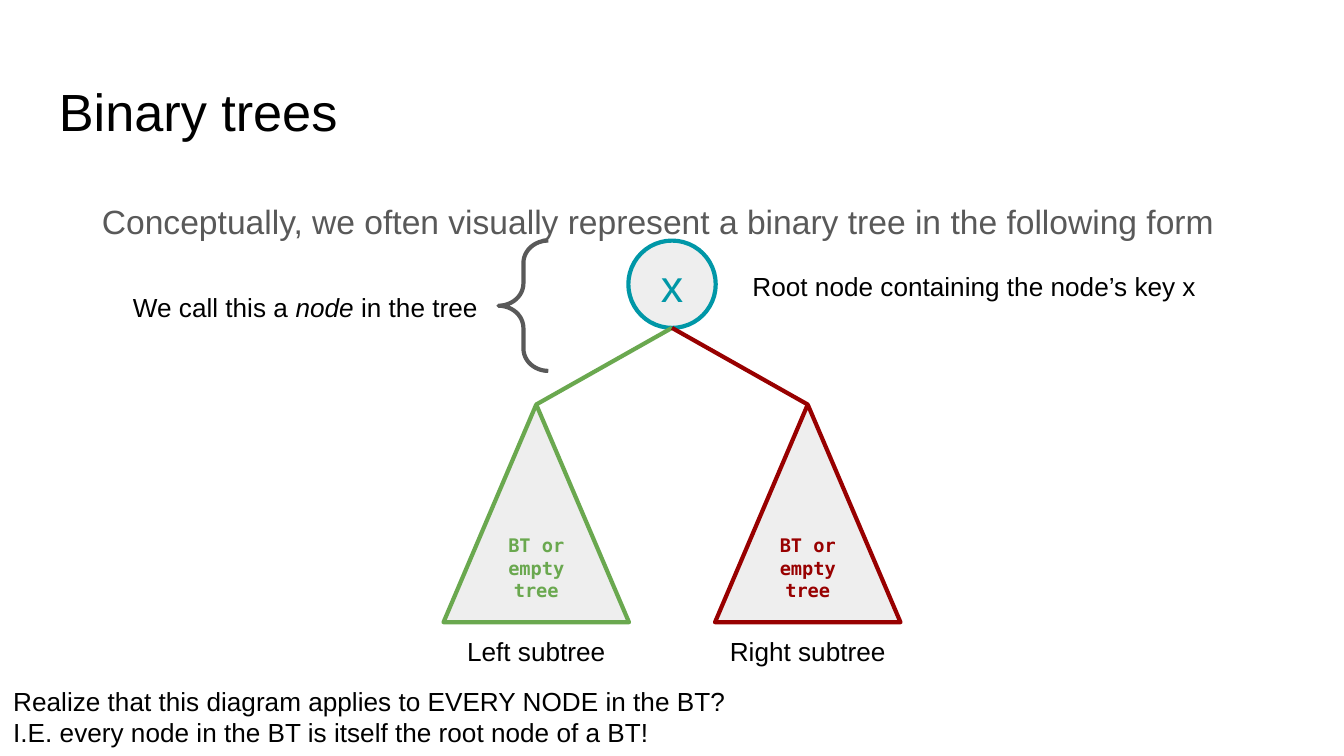
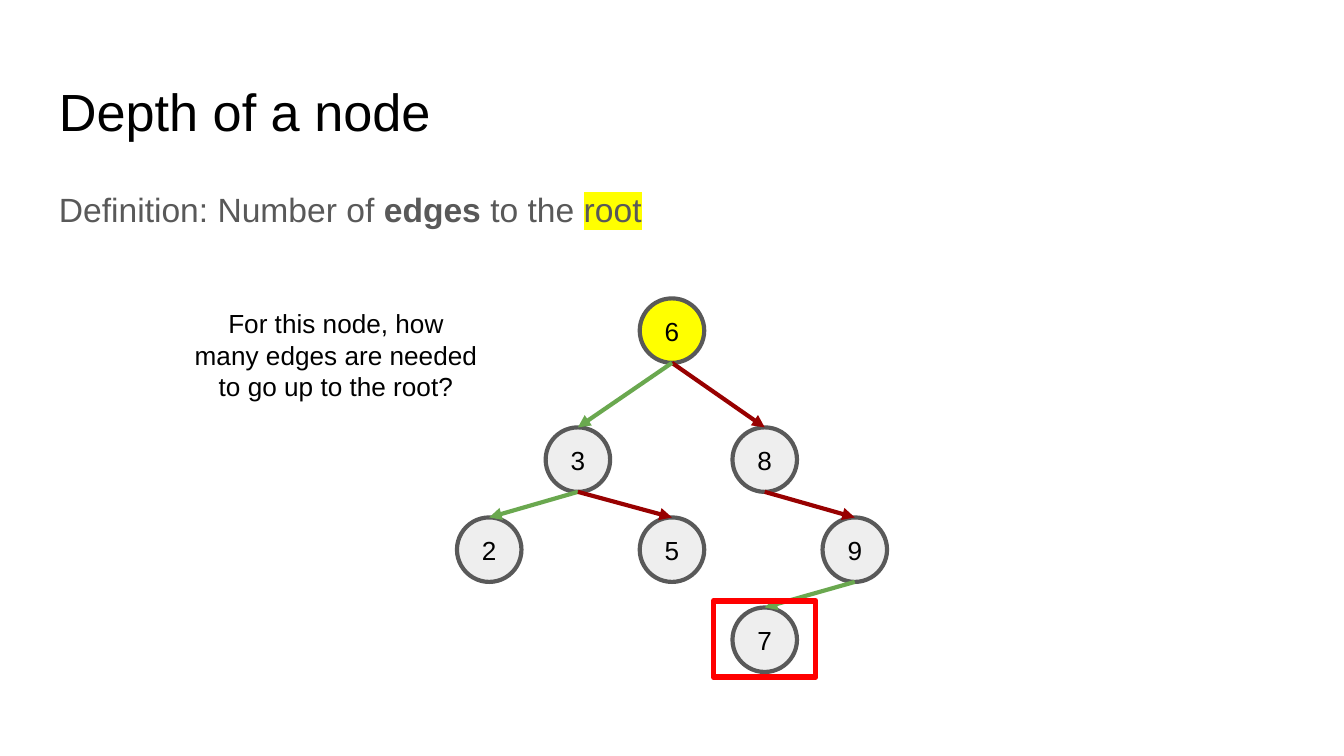
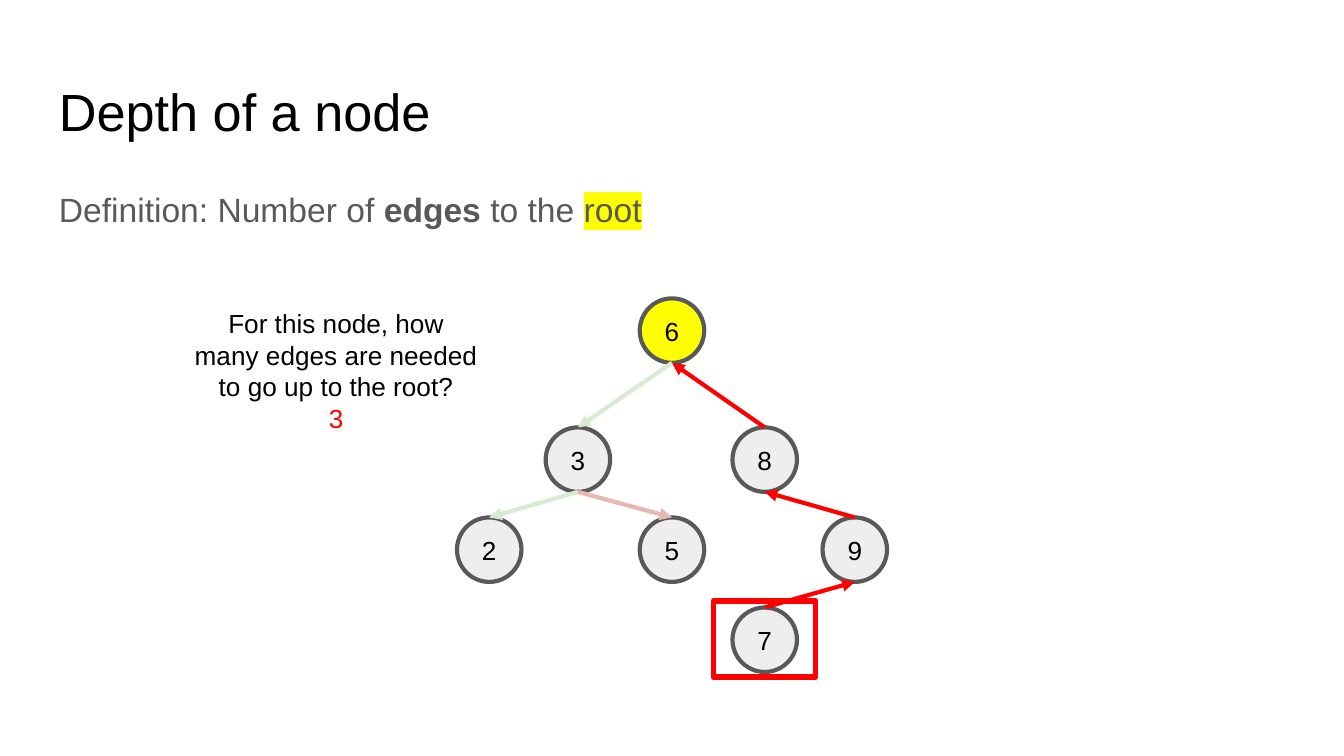
from dataclasses import dataclass
from typing import Optional

from lxml.etree import SubElement
from pptx import Presentation
from pptx.dml.color import RGBColor
from pptx.enum.shapes import MSO_CONNECTOR, MSO_SHAPE as Shape
from pptx.enum.text import MSO_ANCHOR as Anchor, PP_ALIGN as Align
from pptx.oxml import parse_xml
from pptx.oxml.ns import nsdecls, qn
from pptx.util import Inches, Pt

BLACK = RGBColor(0x00, 0x00, 0x00)
GRAY = RGBColor(0x59, 0x59, 0x59)
PALE_GRAY = RGBColor(0xEE, 0xEE, 0xEE)
TEAL = RGBColor(0x00, 0x97, 0xA7)
GREEN = RGBColor(0x6A, 0xA8, 0x4F)
MAROON = RGBColor(0x98, 0x00, 0x00)
PALE_GREEN = RGBColor(0xD9, 0xEA, 0xD3)
PALE_MAROON = RGBColor(0xE6, 0xB8, 0xAF)
RED = RGBColor(0xFF, 0x00, 0x00)
YELLOW = RGBColor(0xFF, 0xFF, 0x00)

SANS = "Arial"
MONO = "DejaVu Sans Mono"
STROKE = 2.25
INSET = 0.1
CENTER_X = 5
NODE_SIZE = 0.48


@dataclass(frozen=True)
class Box:
    left: float
    top: float
    width: float
    height: float

    def lengths(self) -> list:
        return [Inches(n) for n in (self.left, self.top, self.width, self.height)]


@dataclass(frozen=True)
class Span:
    text: str
    size: float = 14
    color: RGBColor = BLACK
    font: str = SANS
    bold: bool = False
    italic: bool = False
    highlight: Optional[RGBColor] = None


@dataclass(frozen=True)
class Node:
    x: float
    top: float
    fill: RGBColor = PALE_GRAY

    @property
    def bottom(self) -> float:
        return self.top + NODE_SIZE


@dataclass(frozen=True)
class Edge:
    parent: str
    child: str
    color: RGBColor
    upward: bool = False


@dataclass(frozen=True)
class Subtree:
    x: float
    color: RGBColor
    caption: str


TITLE_BOX = Box(0.34, 0.49, 9.32, 0.63)
BODY_BOX = Box(0.34, 1.26, 9.32, 0.51)
SUBTREES = [
    Subtree(3.99, GREEN, "Left subtree"),
    Subtree(6.01, MAROON, "Right subtree"),
]
LEVEL_TOPS = [2.22] + [3.18 + 0.67 * level for level in range(3)]
NODES = {
    "2": Node(3.64, LEVEL_TOPS[2]),
    "5": Node(CENTER_X, LEVEL_TOPS[2]),
    "3": Node(4.3, LEVEL_TOPS[1]),
    "8": Node(5.69, LEVEL_TOPS[1]),
    "9": Node(6.36, LEVEL_TOPS[2]),
    "6": Node(CENTER_X, LEVEL_TOPS[0], YELLOW),
    "7": Node(5.69, LEVEL_TOPS[3]),
}
EDGES = [
    Edge("6", "8", MAROON),
    Edge("3", "2", GREEN),
    Edge("3", "5", MAROON),
    Edge("8", "9", MAROON),
    Edge("6", "3", GREEN),
    Edge("9", "7", GREEN),
]
PATH_EDGES = [
    Edge("6", "8", RED, upward=True),
    Edge("3", "2", PALE_GREEN),
    Edge("3", "5", PALE_MAROON),
    Edge("8", "9", RED, upward=True),
    Edge("6", "3", PALE_GREEN),
    Edge("9", "7", RED, upward=True),
]


def write(frame, paragraphs: list, align=Align.LEFT, anchor=Anchor.TOP,
          inset: float = INSET, body: bool = False) -> None:
    frame.word_wrap = True
    frame.vertical_anchor = anchor
    frame.margin_left = frame.margin_right = Inches(inset)
    frame.margin_top = frame.margin_bottom = Inches(inset)
    for index, spans in enumerate(paragraphs):
        paragraph = frame.add_paragraph() if index else frame.paragraphs[0]
        paragraph.alignment = align
        if body:
            paragraph.line_spacing = 1.15
            paragraph.space_after = Pt(16)
        for span in spans:
            run = paragraph.add_run()
            run.text = span.text
            run.font.name = span.font
            run.font.size = Pt(span.size)
            run.font.bold = span.bold
            run.font.italic = span.italic
            run.font.color.rgb = span.color
            if span.highlight is not None:
                mark = parse_xml(
                    f'<a:highlight {nsdecls("a")}><a:srgbClr val="{span.highlight}"/></a:highlight>')
                run.font._element.find(qn("a:solidFill")).addnext(mark)


def add_text(canvas, box: Box, paragraphs: list, **style) -> None:
    write(canvas.add_textbox(*box.lengths()).text_frame, paragraphs, **style)


def add_outline(canvas, kind, box: Box, color: RGBColor,
                fill: Optional[RGBColor] = None, width: float = STROKE):
    shape = canvas.add_shape(kind, *box.lengths())
    shape.shadow.inherit = False
    if fill is None:
        shape.fill.background()
    else:
        shape.fill.solid()
        shape.fill.fore_color.rgb = fill
    shape.line.color.rgb = color
    shape.line.width = Pt(width)
    SubElement(shape.line._get_or_add_ln(), qn("a:round"))
    return shape


def add_line(canvas, start: tuple, end: tuple, color: RGBColor,
             arrow_end: Optional[str] = None) -> None:
    points = [Inches(n) for n in (*start, *end)]
    line = canvas.add_connector(MSO_CONNECTOR.STRAIGHT, *points)
    line.line.color.rgb = color
    line.line.width = Pt(STROKE)
    outline = line.line._get_or_add_ln()
    SubElement(outline, qn("a:round"))
    if arrow_end:
        SubElement(outline, qn(f"a:{arrow_end}"), type="triangle")
    SubElement(line._element.spPr, qn("a:effectLst"))


def add_titled_slide(deck, title: str):
    slide = deck.slides.add_slide(deck.slide_layouts[6])
    add_text(slide.shapes, TITLE_BOX, [[Span(title, 28)]])
    return slide


def add_subtree(canvas, subtree: Subtree, root_bottom: float) -> None:
    width, top, height = 1.38, 3.01, 1.62
    left = subtree.x - width / 2
    triangle = add_outline(canvas, Shape.ISOSCELES_TRIANGLE,
                           Box(left, top, width, height), subtree.color, PALE_GRAY)
    label = Span("BT or empty tree", 10, subtree.color, MONO, bold=True)
    write(triangle.text_frame, [[label]], align=Align.CENTER, anchor=Anchor.MIDDLE)
    add_line(canvas, (CENTER_X, root_bottom), (subtree.x, top), subtree.color)
    add_text(canvas, Box(left, top + height, width, 0.41),
             [[Span(subtree.caption)]], align=Align.CENTER)


def add_binary_tree_slide(deck) -> None:
    canvas = add_titled_slide(deck, "Binary trees").shapes
    intro = "Conceptually, we often visually represent a binary tree in the following form"
    add_text(canvas, Box(0.66, 1.36, 8.68, 0.52), [[Span(intro, 18, GRAY)]],
             anchor=Anchor.MIDDLE, body=True)
    root_top, root_size = 1.79, 0.65
    root = add_outline(canvas, Shape.OVAL,
                       Box(CENTER_X - root_size / 2, root_top, root_size, root_size),
                       TEAL, PALE_GRAY)
    write(root.text_frame, [[Span("x", 24, TEAL)]], align=Align.CENTER, anchor=Anchor.MIDDLE)
    for subtree in SUBTREES:
        add_subtree(canvas, subtree, root_top + root_size)
    add_text(canvas, Box(5.5, 1.91, 3.68, 0.52),
             [[Span("Root node containing the node’s key x")]])
    add_text(canvas, Box(0, 5, 5.69, 0.63), [
        [Span("Realize that this diagram applies to EVERY NODE in the BT?")],
        [Span("I.E. every node in the BT is itself the root node of a BT!")],
    ])
    brace = add_outline(canvas, Shape.LEFT_BRACE, Box(3.71, root_top, 0.37, 0.97), GRAY)
    brace.adjustments[0] = 0.45
    add_text(canvas, Box(0.89, 2.07, 2.82, 0.41), [
        [Span("We call this a "), Span("node", italic=True), Span(" in the tree")],
    ])


def add_tree(canvas, edges: list) -> None:
    for key, node in NODES.items():
        circle = add_outline(canvas, Shape.OVAL,
                             Box(node.x - NODE_SIZE / 2, node.top, NODE_SIZE, NODE_SIZE),
                             GRAY, node.fill)
        write(circle.text_frame, [[Span(key)]], align=Align.CENTER,
              anchor=Anchor.MIDDLE, inset=0)
    for edge in edges:
        parent, child = NODES[edge.parent], NODES[edge.child]
        add_line(canvas, (parent.x, parent.bottom), (child.x, child.top), edge.color,
                 "headEnd" if edge.upward else "tailEnd")


def add_depth_slide(deck, edges: list, grouped: bool = False,
                    answer: Optional[str] = None) -> None:
    canvas = add_titled_slide(deck, "Depth of a node").shapes
    add_text(canvas, BODY_BOX, [[
        Span("Definition: Number of ", 18, GRAY),
        Span("edges", 18, GRAY, bold=True),
        Span(" to the ", 18, GRAY),
        Span("root", 18, GRAY, highlight=YELLOW),
    ]], body=True)
    add_tree(canvas.add_group_shape().shapes if grouped else canvas, edges)
    add_outline(canvas, Shape.RECTANGLE, Box(5.31, 4.47, 0.76, 0.57), RED, width=3)
    question = [[Span("For this node, how many edges are needed to go up to the root?")]]
    if answer:
        question.append([Span(answer, color=RED)])
    add_text(canvas, Box(1.34, 2.19, 2.32, 1.15), question, align=Align.CENTER)


def main() -> None:
    deck = Presentation()
    deck.slide_width = Inches(10)
    deck.slide_height = Inches(10) * 9 // 16
    add_binary_tree_slide(deck)
    add_depth_slide(deck, EDGES, grouped=True)
    add_depth_slide(deck, PATH_EDGES, answer="3")
    deck.save("out.pptx")


if __name__ == "__main__":
    main()
